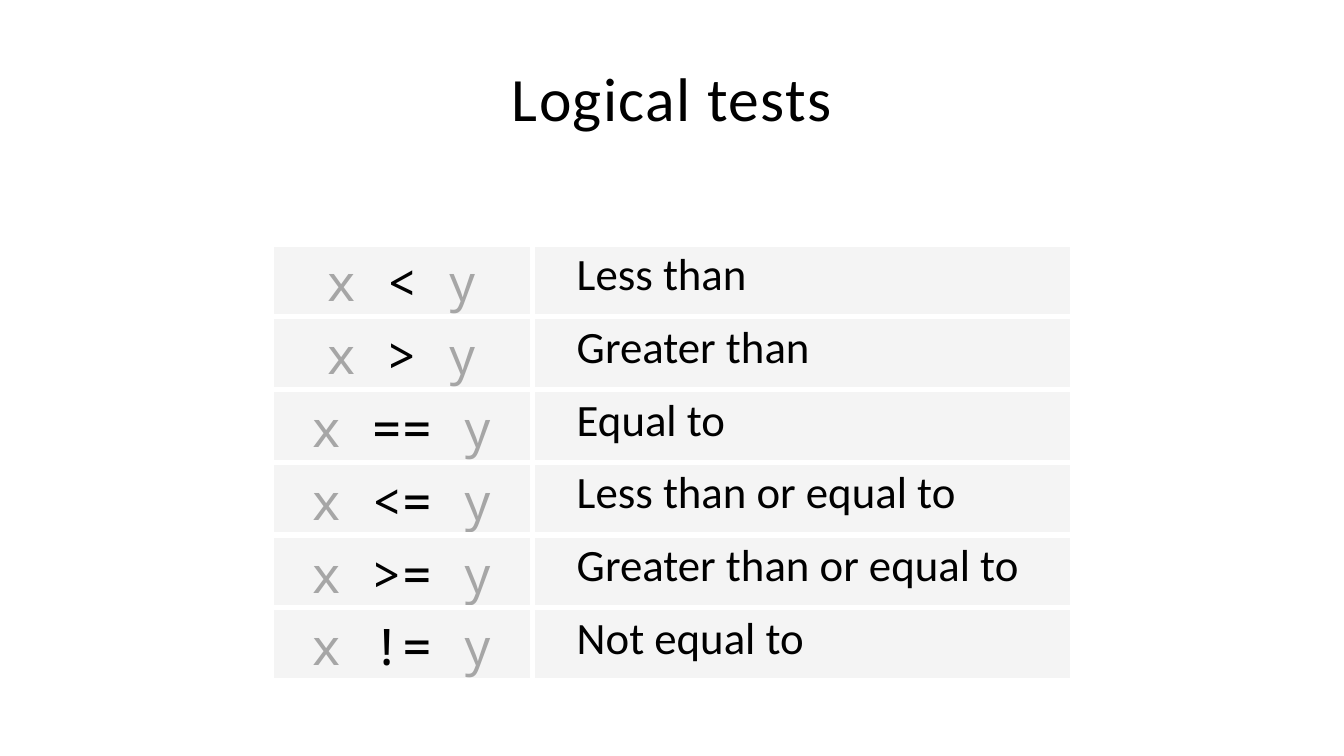
from dataclasses import dataclass

from lxml.etree import SubElement
from pptx import Presentation
from pptx.dml.color import RGBColor
from pptx.enum.text import MSO_ANCHOR, MSO_AUTO_SIZE, PP_ALIGN
from pptx.oxml.ns import qn
from pptx.slide import Slide
from pptx.table import _Cell
from pptx.text.text import _Paragraph
from pptx.util import Emu, Pt

EMU_PER_PX = 9144


@dataclass(frozen=True)
class Theme:
    ink: str = "000000"
    operand: str = "A6A6A6"
    cell_fill: str = "EBEBEB"
    cell_border: str = "FFFFFF"
    fill_opacity: int = 50
    border_points: float = 4.25
    text_font: str = "Calibri"
    code_font: str = "Noto Sans Mono"
    title_size: int = 44
    code_size: int = 36
    meaning_size: int = 32


@dataclass(frozen=True)
class LogicalTest:
    operator: str
    meaning: str


THEME = Theme()
LOGICAL_TESTS = [
    LogicalTest("<", "Less than"),
    LogicalTest(">", "Greater than"),
    LogicalTest("==", "Equal to"),
    LogicalTest("<=", "Less than or equal to"),
    LogicalTest(">=", "Greater than or equal to"),
    LogicalTest("!=", "Not equal to"),
]
COLUMN_WIDTHS = (259, 536)
TABLE_HEIGHT = 386
MEANING_INDENT = 44


def px(length: int) -> Emu:
    return Emu(length * EMU_PER_PX)


def add_run(paragraph: _Paragraph, text: str, font_name: str, size: int, color: str):
    run = paragraph.add_run()
    run.text = text
    run.font.name = font_name
    run.font.size = Pt(size)
    run.font.bold = False
    run.font.color.rgb = RGBColor.from_string(color)
    return run


def add_title(slide: Slide, text: str) -> None:
    title = slide.shapes.title
    title.left, title.top, title.width, title.height = map(px, (473, 73, 387, 85))
    frame = title.text_frame
    frame.auto_size = MSO_AUTO_SIZE.NONE
    frame.word_wrap = True
    frame.vertical_anchor = MSO_ANCHOR.TOP
    frame.margin_left = frame.margin_right = frame.margin_bottom = 0
    frame.margin_top = px(1)
    paragraph = frame.paragraphs[0]
    paragraph.alignment = PP_ALIGN.CENTER
    paragraph.line_spacing = 0.8
    run = add_run(paragraph, text, THEME.text_font, THEME.title_size, THEME.ink)
    run.font._element.set("spc", "100")


def format_cell(cell: _Cell) -> None:
    """Set the margins, white borders and translucent fill of a cell."""
    cell.margin_left = cell.margin_right = cell.margin_bottom = 0
    cell.margin_top = px(4)
    cell.vertical_anchor = MSO_ANCHOR.TOP
    properties = cell._tc.get_or_add_tcPr()
    for side in ("a:lnL", "a:lnR", "a:lnT", "a:lnB"):
        line = SubElement(properties, qn(side), w=str(Pt(THEME.border_points)))
        line_fill = SubElement(line, qn("a:solidFill"))
        SubElement(line_fill, qn("a:srgbClr"), val=THEME.cell_border)
    fill = SubElement(properties, qn("a:solidFill"))
    color = SubElement(fill, qn("a:srgbClr"), val=THEME.cell_fill)
    SubElement(color, qn("a:alpha"), val=str(THEME.fill_opacity * 1000))


def fill_test_cell(cell: _Cell, operator: str) -> None:
    format_cell(cell)
    paragraph = cell.text_frame.paragraphs[0]
    paragraph.alignment = PP_ALIGN.CENTER
    for text, color in (
        ("x ", THEME.operand),
        (f"{operator} ", THEME.ink),
        ("y", THEME.operand),
    ):
        add_run(paragraph, text, THEME.code_font, THEME.code_size, color)


def fill_meaning_cell(cell: _Cell, meaning: str) -> None:
    format_cell(cell)
    paragraph = cell.text_frame.paragraphs[0]
    paragraph._p.get_or_add_pPr().set("marL", str(px(MEANING_INDENT)))
    add_run(paragraph, meaning, THEME.text_font, THEME.meaning_size, THEME.ink)


def add_tests_table(slide: Slide, tests: list[LogicalTest]) -> None:
    table = slide.shapes.add_table(
        len(tests), len(COLUMN_WIDTHS),
        px(269), px(242), px(sum(COLUMN_WIDTHS)), px(TABLE_HEIGHT),
    ).table
    table.first_row = table.horz_banding = False
    for column, width in zip(table.columns, COLUMN_WIDTHS):
        column.width = px(width)
    for row, test in zip(table.rows, tests):
        test_cell, meaning_cell = row.cells
        fill_test_cell(test_cell, test.operator)
        fill_meaning_cell(meaning_cell, test.meaning)


def main() -> None:
    presentation = Presentation()
    presentation.slide_width, presentation.slide_height = px(1333), px(750)
    slide = presentation.slides.add_slide(presentation.slide_layouts[5])
    add_title(slide, "Logical tests")
    add_tests_table(slide, LOGICAL_TESTS)
    presentation.save("out.pptx")


if __name__ == "__main__":
    main()
